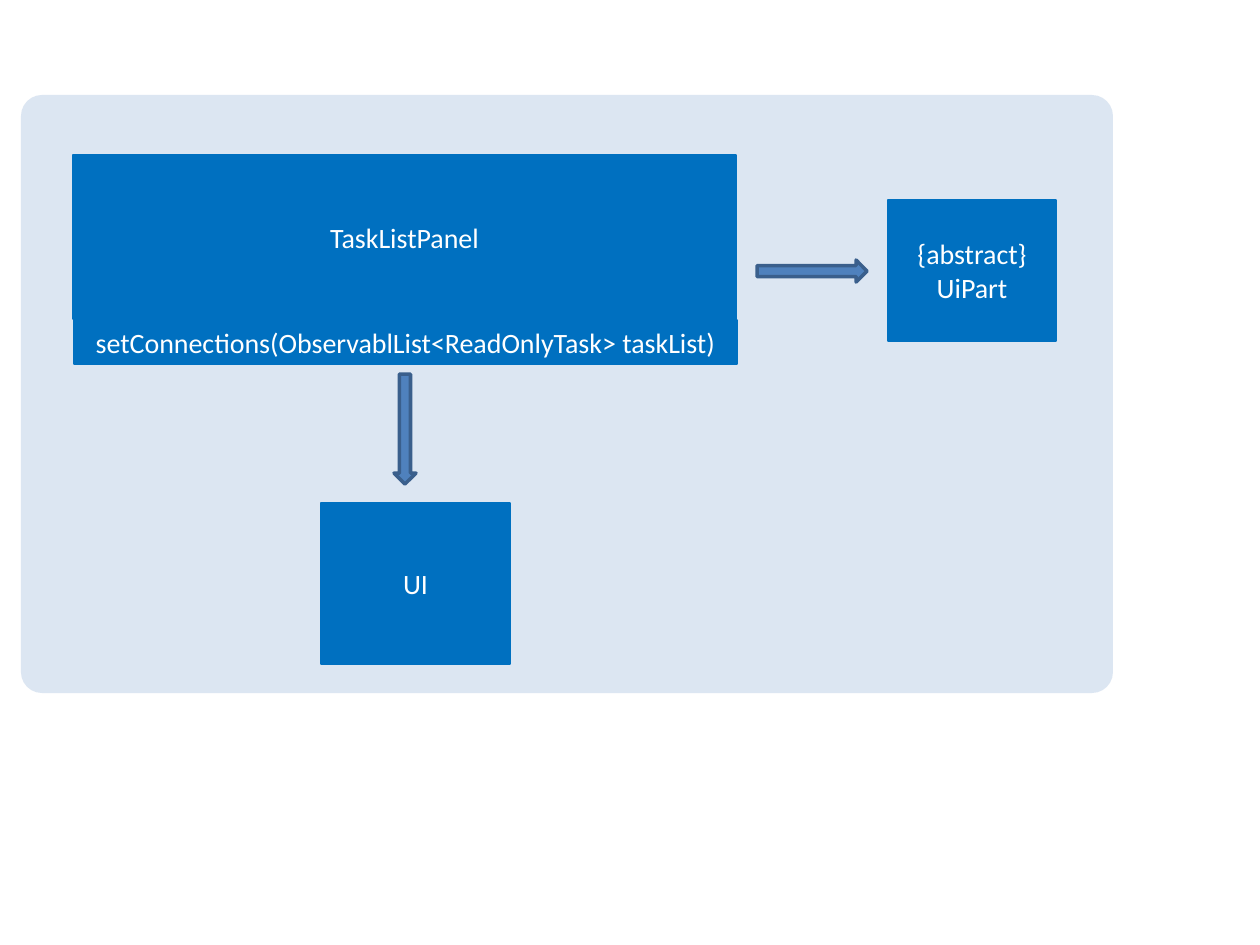
from dataclasses import dataclass

from pptx import Presentation
from pptx.dml.color import RGBColor
from pptx.enum.shapes import MSO_SHAPE as Preset
from pptx.enum.text import MSO_ANCHOR as Anchor, PP_ALIGN as Align
from pptx.shapes.autoshape import Shape
from pptx.shapes.shapetree import SlideShapes
from pptx.util import Emu, Pt

PX_PER_INCH = 126
PANEL_FILL, BOX_FILL = "DCE6F2", "0070C0"
ARROW_FILL, ARROW_LINE = "4F81BD", "3A5F8C"
TEXT_COLOUR = "FFFFFF"


@dataclass(frozen=True)
class Area:
    left: int
    top: int
    width: int
    height: int


@dataclass(frozen=True)
class ClassBox:
    area: Area
    lines: tuple[str, ...]


@dataclass(frozen=True)
class BlockArrow:
    area: Area
    rotation: int


PANEL = Area(21, 95, 1092, 598)
CLASS_BOXES = (
    ClassBox(Area(321, 503, 189, 161), ("UI",)),
    ClassBox(Area(888, 200, 168, 141), ("{abstract}", "UiPart")),
    ClassBox(Area(73, 155, 663, 164), ("TaskListPanel",)),
    ClassBox(Area(74, 320, 663, 44),
             ("setConnections(ObservablList<ReadOnlyTask> taskList)",)),
)
ARROWS = (
    BlockArrow(Area(350, 418, 110, 22), 270),
    BlockArrow(Area(757, 260, 110, 22), 180),
)


def px(length: int) -> Emu:
    return Emu(round(length * 914400 / PX_PER_INCH))


def colour(value: str) -> RGBColor:
    return RGBColor.from_string(value)


def draw_preset(shapes: SlideShapes, preset: Preset, area: Area, fill: str,
                line: str | None = None, line_width: float = 0) -> Shape:
    shape = shapes.add_shape(preset, px(area.left), px(area.top),
                             px(area.width), px(area.height))
    shape.shadow.inherit = False
    shape.fill.solid()
    shape.fill.fore_color.rgb = colour(fill)
    if line is None:
        shape.line.fill.background()
    else:
        shape.line.color.rgb = colour(line)
        shape.line.width = Pt(line_width)
    return shape


def draw_class_box(shapes: SlideShapes, box: ClassBox) -> None:
    shape = draw_preset(shapes, Preset.RECTANGLE, box.area, BOX_FILL, BOX_FILL, 1.5)
    frame = shape.text_frame
    frame.word_wrap = True
    frame.vertical_anchor = Anchor.MIDDLE
    for index, line in enumerate(box.lines):
        paragraph = frame.add_paragraph() if index else frame.paragraphs[0]
        paragraph.alignment = Align.CENTER
        run = paragraph.add_run()
        run.text = line
        run.font.name = "Calibri"
        run.font.size = Pt(16)
        run.font.color.rgb = colour(TEXT_COLOUR)


def draw_arrow(shapes: SlideShapes, arrow: BlockArrow) -> None:
    shape = draw_preset(shapes, Preset.LEFT_ARROW, arrow.area,
                        ARROW_FILL, ARROW_LINE, 2)
    shape.rotation = arrow.rotation


def main() -> None:
    deck = Presentation()
    deck.slide_width, deck.slide_height = px(1260), px(945)
    shapes = deck.slides.add_slide(deck.slide_layouts[6]).shapes

    panel = draw_preset(shapes, Preset.ROUNDED_RECTANGLE, PANEL, PANEL_FILL)
    panel.adjustments[0] = 0.035
    for box in CLASS_BOXES:
        draw_class_box(shapes, box)
    for arrow in ARROWS:
        draw_arrow(shapes, arrow)

    deck.save("out.pptx")


if __name__ == "__main__":
    main()
